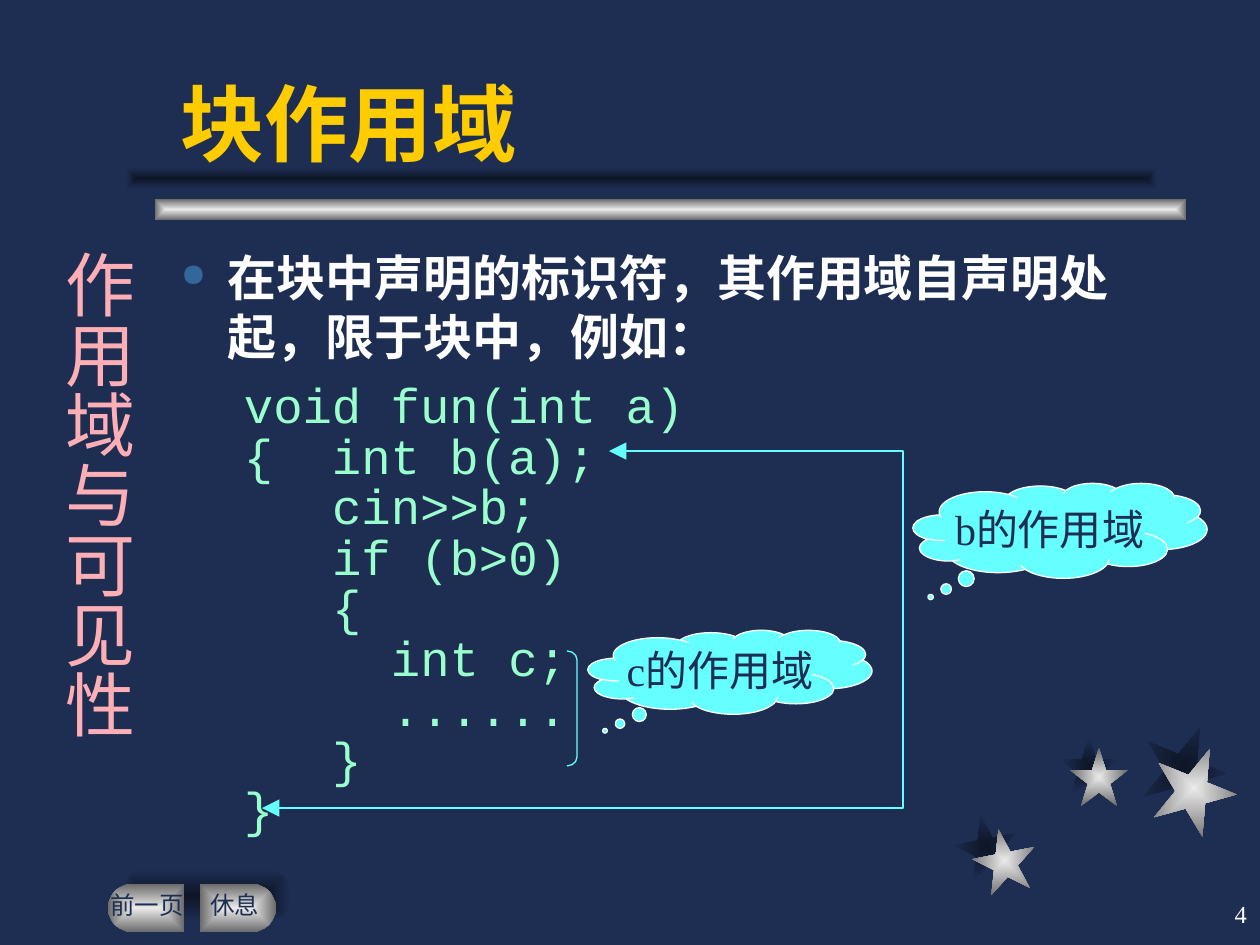
from math import cos, pi, sin
from lxml.etree import SubElement as Sub
from pptx import Presentation
from pptx.dml.color import RGBColor
from pptx.enum.shapes import MSO_SHAPE as Kind
from pptx.enum.text import MSO_ANCHOR as Anchor, PP_ALIGN as Align
from pptx.oxml.ns import qn
from pptx.util import Pt

PX = 914400 / 126
NAVY, DARK, CYAN, WHITE = "1E2E53", "0D1526", "66FFFF", "FFFFFF"
SILVER, SHADE = ("EAEAEA", "6B6B6B"), (DARK, NAVY)
SERIF = "Times New Roman"


def paint(shape, fill=None, line=None):
    shape.shadow.inherit = False
    if isinstance(fill, tuple):
        shape.fill.gradient()
        for stop, tone in zip(shape.fill.gradient_stops, fill):
            stop.color.rgb = RGBColor.from_string(tone)
        grad = shape._element.spPr.find(qn("a:gradFill"))
        grad.remove(grad.find(qn("a:lin")))
        way = Sub(grad, qn("a:path"), path="rect")
        Sub(way, qn("a:fillToRect"), l="50000", t="50000", r="50000", b="50000")
    elif fill:
        shape.fill.solid()
        shape.fill.fore_color.rgb = RGBColor.from_string(fill)
    else:
        shape.fill.background()
    if line:
        shape.line.color.rgb = RGBColor.from_string(line)
        shape.line.width = Pt(0.75)
    else:
        shape.line.fill.background()


def write(frame, text, size=28, font=SERIF, color=WHITE, bold=False, align=Align.LEFT,
          anchor=Anchor.TOP, inset=(13, 6), wrap=True, more=False):
    frame.word_wrap = wrap
    frame.vertical_anchor = anchor
    frame.margin_left = frame.margin_right = int(inset[0] * PX)
    frame.margin_top = frame.margin_bottom = int(inset[1] * PX)
    para = frame.add_paragraph() if more else frame.paragraphs[0]
    para.alignment = align
    run = para.add_run()
    run.text = text
    run.font.size, run.font.name, run.font.bold = Pt(size), font, bold
    run.font.color.rgb = RGBColor.from_string(color)
    return para


deck = Presentation()
deck.slide_width, deck.slide_height = int(1260 * PX), int(945 * PX)
slide = deck.slides.add_slide(deck.slide_layouts[6])
slide.background.fill.solid()
slide.background.fill.fore_color.rgb = RGBColor.from_string(NAVY)
shapes = slide.shapes

stars = [
    (955, 815, 63, 349, SHADE), (1060, 737, 58, 0, SHADE), (1142, 725, 84, 22, SHADE),
    (973, 829, 63, 349, SILVER), (1070, 748, 58, 0, SILVER), (1152, 746, 84, 22, SILVER),
]
for x, y, size, turn, tones in stars:
    star = shapes.add_shape(Kind.STAR_5_POINT, *[int(v * PX) for v in (x, y, size, size)])
    star.rotation = turn
    paint(star, tones)

for x, y, tones in [(155, 199, SILVER), (126, 168, SHADE)]:
    bar = shapes.add_shape(Kind.RECTANGLE, *[int(v * PX) for v in (x, y, 1031, 21)])
    paint(bar, tones)

pill = shapes.add_shape(Kind.ROUNDED_RECTANGLE, *[int(v * PX) for v in (122, 869, 169, 53)])
pill.adjustments[0] = 0.5
paint(pill, SHADE)

for side, label in [(-1, "前一页"), (1, "休息")]:
    edge, mid = 192 + 8 * side, 192 + 60 * side
    arc = [(mid + side * 24 * sin(pi * i / 16), 908 - 24 * cos(pi * i / 16)) for i in range(17)]
    pen = shapes.build_freeform(edge, 884, scale=PX)
    pen.add_line_segments(arc + [(edge, 932)], close=True)
    paint(pen.convert_to_shape(), SILVER)
    left = 191 + 44 * side - 42
    box = shapes.add_textbox(*[int(v * PX) for v in (left, 890, 84, 29)])
    write(box.text_frame, label, size=14, color=NAVY, align=Align.CENTER, inset=(0, 0))

title = shapes.add_textbox(*[int(v * PX) for v in (168, 62, 998, 116)])
write(title.text_frame, "块作用域", size=48, font="Arial", color="FFCC00", bold=True,
      anchor=Anchor.BOTTOM)

body = shapes.add_textbox(*[int(v * PX) for v in (168, 242, 998, 630)])
lead = write(body.text_frame, "在块中声明的标识符，其作用域自声明处起，限于块中，例如：",
             font="Arial", bold=True)
lead.space_after = Pt(8.8)
props = lead._p.get_or_add_pPr()
props.set("marL", str(int(47 * PX)))
props.set("indent", str(int(-47 * PX)))
tone = Sub(props, qn("a:buClr"))
Sub(tone, qn("a:srgbClr"), val="336699")
Sub(props, qn("a:buSzPct"), val="65000")
Sub(props, qn("a:buChar"), char="●")

code = [
    (0, "void fun(int a)"), (0, "{  int b(a);"), (3, "cin>>b;"), (3, "if (b>0)"), (3, "{"),
    (5, "int c;"), (5, "......"), (3, "}"), (0, "}"),
]
for depth, text in code:
    para = write(body.text_frame, text, font="Courier New", color="99FFCC", more=True)
    para.line_spacing = 0.65
    para.space_before = Pt(7)
    para._p.get_or_add_pPr().set("marL", str(int(63 * PX + depth * Pt(16.8))))

brace = shapes.add_shape(Kind.RIGHT_BRACKET, *[int(v * PX) for v in (567, 651, 10, 115)])
brace.adjustments[0] = 0.87
paint(brace, line=CYAN)

pen = shapes.build_freeform(609, 451, scale=PX)
pen.add_line_segments([(903, 451), (903, 808), (262, 808)], close=False)
scope = pen.convert_to_shape()
paint(scope, line=CYAN)
for end in ("a:headEnd", "a:tailEnd"):
    Sub(scope.line._get_or_add_ln(), qn(end), type="triangle", w="lg", len="lg")

for x, y, w, h, text in [(588, 630, 284, 84, "c的作用域"), (913, 483, 294, 95, "b的作用域")]:
    cloud = shapes.add_shape(Kind.CLOUD_CALLOUT, *[int(v * PX) for v in (x, y, w, h)])
    cloud.adjustments[0], cloud.adjustments[1] = -0.44, 0.7
    paint(cloud, CYAN, WHITE)
    write(cloud.text_frame, text, size=24, color=NAVY, align=Align.CENTER,
          anchor=Anchor.MIDDLE, wrap=False)

topic = shapes.add_textbox(*[int(v * PX) for v in (38, 238, 108, 560)])
write(topic.text_frame, "作用域与可见性", size=40, color="FDAFB5", inset=(6, 12))
topic.text_frame._txBody.bodyPr.set("vert", "eaVert")

page = shapes.add_textbox(*[int(v * PX) for v in (998, 882, 262, 63)])
write(page.text_frame, "4", size=14, align=Align.RIGHT, anchor=Anchor.MIDDLE)

deck.save("out.pptx")
